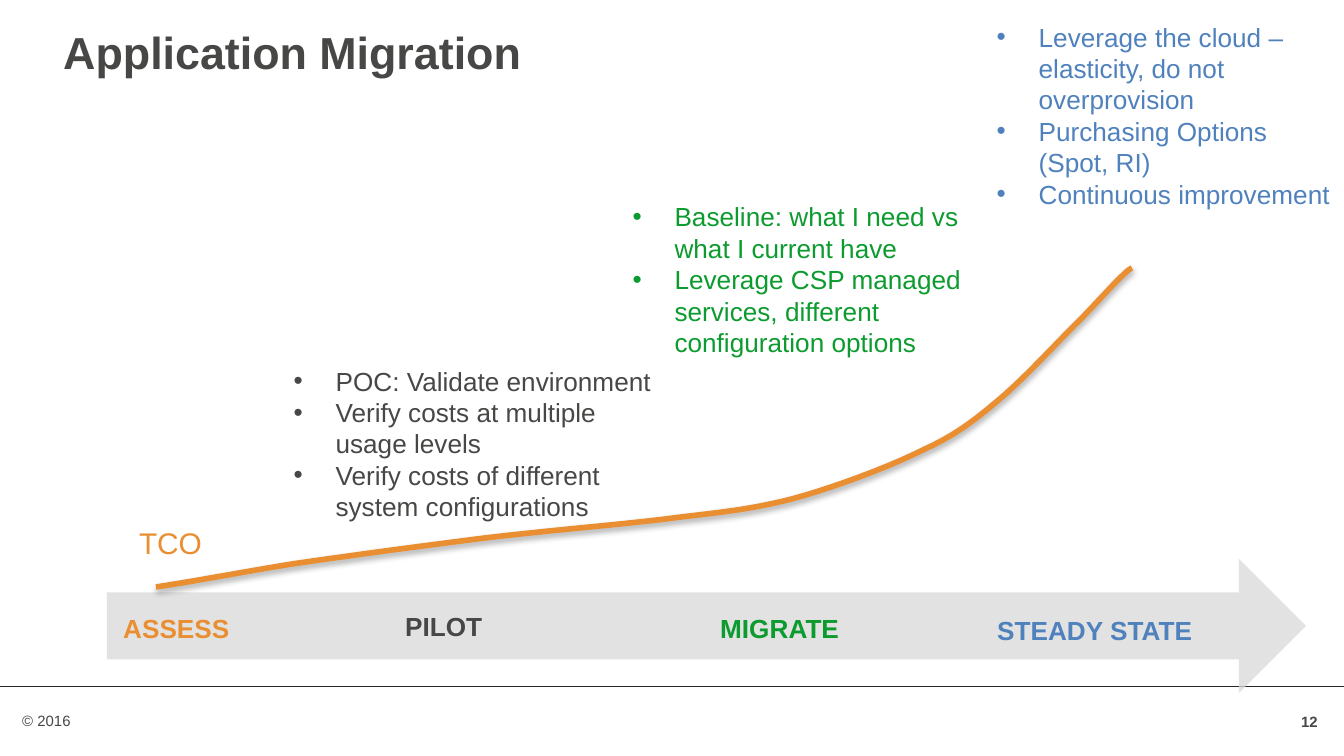
import pptx
import pptx.dml.color
import pptx.enum.shapes
import pptx.enum.text
import pptx.oxml
import pptx.oxml.ns
import pptx.util

EMU_PER_PX = 914400 / 134.4
GREY, ORANGE, GREEN, BLUE = "474746", "E98E31", "0C9B2E", "4F81BD"
SHAPES = pptx.enum.shapes.MSO_SHAPE
ALIGN = pptx.enum.text.PP_ALIGN
ANCHOR = pptx.enum.text.MSO_ANCHOR
NS = pptx.oxml.ns.nsdecls("a")


def px(*lengths):
    return [pptx.util.Emu(round(length * EMU_PER_PX)) for length in lengths]


def write(shape, paragraphs, size, color, bold=False, align=ALIGN.LEFT,
          bullets=False, wrap=True, anchor=ANCHOR.TOP):
    frame = shape.text_frame
    frame.word_wrap = wrap
    frame.vertical_anchor = anchor
    frame.text = "\n".join(paragraphs)
    font_values = {"name": "Arial", "size": pptx.util.Pt(size), "bold": bold}
    for paragraph in frame.paragraphs:
        paragraph.alignment = align
        font = paragraph.runs[0].font
        for key, value in font_values.items():
            setattr(font, key, value)
        font.color.rgb = pptx.dml.color.RGBColor.from_string(color)
        if bullets:
            properties = paragraph._p.get_or_add_pPr()
            indent = px(42)[0]
            properties.set("marL", str(indent))
            properties.set("indent", str(-indent))
            for xml in (f'<a:buFont {NS} typeface="Arial"/>', f'<a:buChar {NS} char="•"/>'):
                properties.append(pptx.oxml.parse_xml(xml))


deck = pptx.Presentation()
deck.slide_width, deck.slide_height = px(1344, 756)
slide = deck.slides.add_slide(deck.slide_layouts[6])
shapes = slide.shapes

# Footer
page_number = shapes.add_textbox(*px(1283, 702, 48, 40))
write(page_number, ["12"], 8, GREY, bold=True, align=ALIGN.RIGHT, anchor=ANCHOR.MIDDLE)
copyright_note = shapes.add_textbox(*px(9, 705, 741, 32))
write(copyright_note, ["© 2016"], 8, GREY)
for left, right in ((0, 1344), (13, 1331)):
    footer_rule = shapes.add_connector(
        pptx.enum.shapes.MSO_CONNECTOR.STRAIGHT, *px(left, 686, right, 686))
    footer_rule.line.color.rgb = pptx.dml.color.RGBColor.from_string("272727")
    footer_rule.line.width = pptx.util.Pt(0.25)
    footer_rule._element.spPr.append(pptx.oxml.parse_xml(f"<a:effectLst {NS}/>"))

# Timeline arrow
timeline = shapes.add_shape(SHAPES.RIGHT_ARROW, *px(107, 559, 1199, 134))
timeline.shadow.inherit = False
timeline.line.fill.background()
timeline.fill.solid()
timeline.fill.fore_color.rgb = pptx.dml.color.RGBColor.from_string("D9D9D9")
timeline_color = timeline._element.spPr.find(".//" + pptx.oxml.ns.qn("a:srgbClr"))
timeline_color.append(pptx.oxml.parse_xml(f'<a:alpha {NS} val="75000"/>'))

# Stage names
for stage, left, top, width, color in (
    ("ASSESS", 110, 606, 134, ORANGE),
    ("PILOT", 392, 604, 105, GREY),
    ("MIGRATE", 707, 606, 146, GREEN),
    ("STEADY STATE", 984, 608, 223, BLUE),
):
    stage_label = shapes.add_textbox(*px(left, top, width, 46))
    write(stage_label, [stage], 14, color, bold=True, wrap=False)

# Cost curve: cubic pieces, each two control points and an end, sampled finely
curve_start = (156, 587)
curve_pieces = [
    ((196, 581), (237, 573), (292, 564)),
    ((347, 556), (421, 546), (485, 538)),
    ((551, 530), (630, 524), (681, 517)),
    ((732, 511), (751, 509), (792, 499)),
    ((832, 488), (887, 468), (923, 450)),
    ((958, 434), (976, 419), (1001, 398)),
    ((1028, 375), (1062, 337), (1081, 319)),
    ((1101, 298), (1109, 289), (1117, 281)),
    ((1125, 273), (1128, 270), (1132, 268)),
]
STEPS = 10
curve_points = []
piece_start = curve_start
for piece in curve_pieces:
    for step in range(1, STEPS + 1):
        t = step / STEPS
        weights = ((1 - t) ** 3, 3 * t * (1 - t) ** 2, 3 * t * t * (1 - t), t ** 3)
        corners = (piece_start, *piece)
        curve_points.append(px(*(sum(w * c[axis] for w, c in zip(weights, corners))
                                 for axis in (0, 1))))
    piece_start = piece[-1]
builder = shapes.build_freeform(*px(*curve_start))
builder.add_line_segments(curve_points, close=False)
cost_curve = builder.convert_to_shape()
cost_curve.fill.background()
cost_curve.line.color.rgb = pptx.dml.color.RGBColor.from_string(ORANGE)
cost_curve.line.width = pptx.util.Pt(3)
cost_curve._element.spPr.append(pptx.oxml.parse_xml(
    f'<a:effectLst {NS}><a:outerShdw blurRad="39370" dist="22860" dir="5400000" '
    'rotWithShape="0"><a:srgbClr val="000000"><a:alpha val="35000"/></a:srgbClr>'
    '</a:outerShdw></a:effectLst>'))

# Curve name and the notes for each stage
for bounds, notes, size, color, align, bullets in (
    ((36, 515, 269, 55), ["TCO"], 16, ORANGE, ALIGN.CENTER, False),
    ((610, 185, 386, 191),
     ["Baseline: what I need vs what I current have",
      "Leverage CSP managed services, different configuration options"],
     14, GREEN, ALIGN.LEFT, True),
    ((969, 0, 391, 296),
     ["Leverage the cloud – elasticity, do not overprovision",
      "Purchasing Options (Spot, RI)",
      "Continuous improvement"],
     14, BLUE, ALIGN.LEFT, True),
    ((271, 349, 406, 191),
     ["POC: Validate environment",
      "Verify costs at multiple usage levels",
      "Verify costs of different system configurations"],
     14, GREY, ALIGN.LEFT, True),
):
    note_box = shapes.add_shape(SHAPES.ROUNDED_RECTANGLE, *px(*bounds))
    note_box.shadow.inherit = False
    note_box.fill.background()
    note_box.line.fill.background()
    write(note_box, notes, size, color, align=align, bullets=bullets)

# Title
title = shapes.add_textbox(*px(50, 18, 1205, 99))
write(title, ["Application Migration"], 24, GREY, bold=True)

deck.save("out.pptx")
